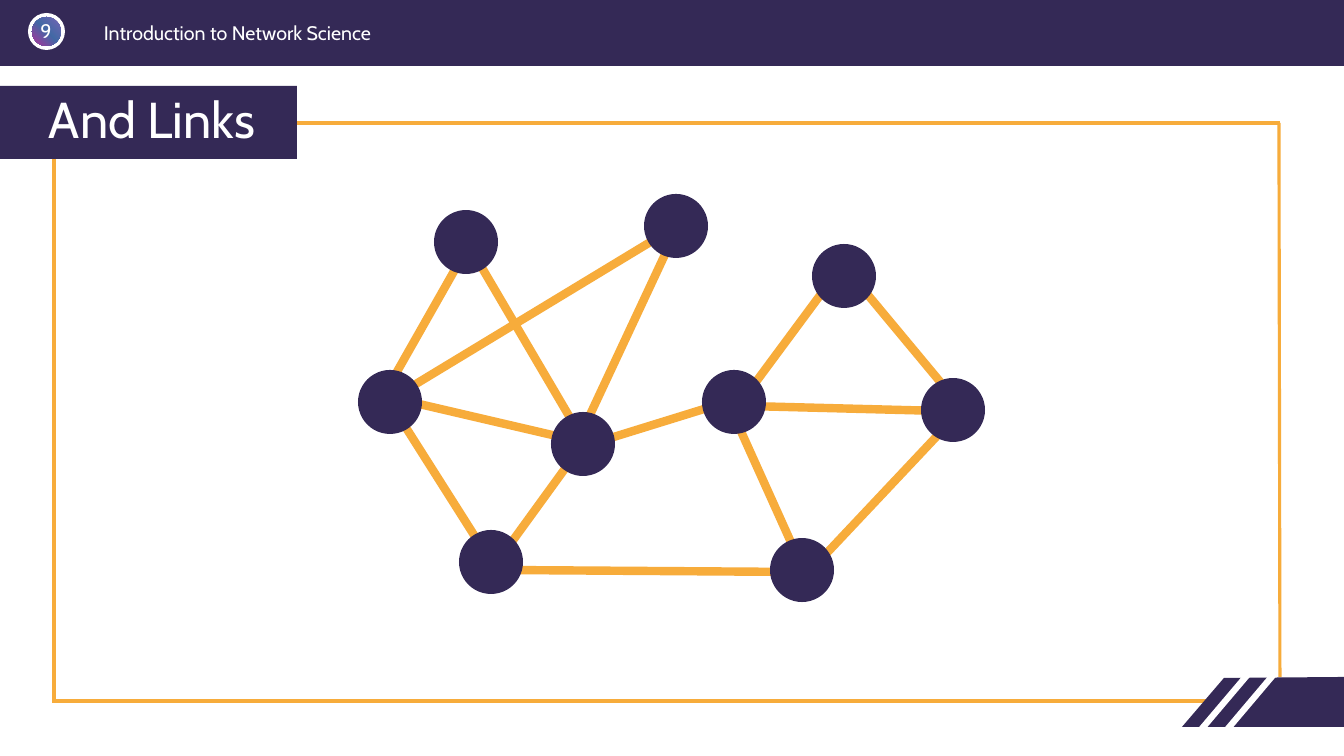
from lxml.etree import SubElement
from pptx import Presentation
from pptx.dml.color import RGBColor
from pptx.enum.shapes import MSO_CONNECTOR, MSO_SHAPE
from pptx.enum.text import MSO_ANCHOR, PP_ALIGN
from pptx.oxml import parse_xml
from pptx.oxml.ns import nsdecls, qn
from pptx.util import Pt

COLORS = {"navy": "342956", "orange": "F7AC3B", "white": "FFFFFF"}
BADGE_STOPS = [(0, "7864B5"), (49, "4269A5"), (100, "B2329A")]
BADGE_ANGLE = 135
HEADER = "Introduction to Network Science"
TITLE = "And Links"
NUMBER = "9"
FONT = "Cabin"

FRAME = [
    (1280, 677, 1279, 123),
    (54, 703, 54, 154),
    (53, 701, 1220, 701),
    (54, 123, 1280, 123),
]
CORNER = [(1224, 678), (1344, 677), (1344, 727), (1182, 727)]
SLASHES = [(1194, 738, 1255, 666), (1220, 738, 1275, 673)]
NODE_SIZE = 64
NODES = [
    (466, 242), (676, 226), (583, 444), (734, 402), (491, 562),
    (844, 276), (802, 570), (953, 410), (390, 402),
]
LINKS = [
    (478, 261, 572, 421), (662, 235, 406, 390), (461, 259, 394, 377),
    (391, 404, 488, 557), (498, 561, 572, 459), (402, 400, 565, 438),
    (591, 444, 730, 401), (858, 283, 947, 390), (830, 282, 747, 394),
    (747, 406, 941, 411), (735, 418, 799, 560), (954, 418, 809, 572),
    (505, 570, 799, 572), (676, 231, 582, 432),
]

SCALE = 914400 / 100.8


def px(*values):
    return [round(v * SCALE) for v in values]


def rgb(name):
    return RGBColor.from_string(COLORS[name])


def style(s, color):
    s.shadow.inherit = False
    s.fill.solid()
    s.fill.fore_color.rgb = rgb(color)
    s.line.fill.background()
    return s


def shape(kind, box, color):
    return style(slide.shapes.add_shape(kind, *px(*box)), color)


def line(ends, color, width):
    s = slide.shapes.add_connector(MSO_CONNECTOR.STRAIGHT, *px(*ends))
    s.line.color.rgb = rgb(color)
    s.line.width = Pt(width)
    SubElement(s._element.spPr, qn("a:effectLst"))


def write(s, text, size, align, frame):
    tf = s.text_frame
    for key, value in frame.items():
        setattr(tf, key, value)
    p = tf.paragraphs[0]
    p.alignment = align
    r = p.add_run()
    r.text = text
    for key, value in {"name": FONT, "size": Pt(size)}.items():
        setattr(r.font, key, value)
    r.font.color.rgb = rgb("white")
    return p


prs = Presentation()
prs.slide_width, prs.slide_height = px(1344, 756)
slide = prs.slides.add_slide(prs.slide_layouts[6])

shape(MSO_SHAPE.RECTANGLE, (0, 0, 1344, 66), "navy")
shape(MSO_SHAPE.OVAL, (28, 13, 37, 37), "white")
badge = shape(MSO_SHAPE.OVAL, (32, 17, 29, 29), "navy")
stops = "".join(
    f'<a:gs pos="{pos * 1000}"><a:srgbClr val="{color}"/></a:gs>'
    for pos, color in BADGE_STOPS
)
gradient = parse_xml(
    f'<a:gradFill {nsdecls("a")}><a:gsLst>{stops}</a:gsLst>'
    f'<a:lin ang="{BADGE_ANGLE * 60000}" scaled="0"/></a:gradFill>'
)
sp = badge._element.spPr
sp.replace(sp.find(qn("a:solidFill")), gradient)

header = slide.shapes.add_textbox(*px(94, 16, 565, 30))
write(header, HEADER, 14, PP_ALIGN.LEFT, {"word_wrap": True})

for ends in FRAME[:3]:
    line(ends, "orange", 2.25)
builder = slide.shapes.build_freeform(*CORNER[0], scale=SCALE)
builder.add_line_segments(CORNER[1:], close=True)
style(builder.convert_to_shape(), "navy")
for ends in SLASHES:
    line(ends, "white", 4.5)
line(FRAME[3], "orange", 2.25)

title = shape(MSO_SHAPE.RECTANGLE, (0, 86, 297, 73), "navy")
p = write(title, TITLE, 36, PP_ALIGN.LEFT, {
    "word_wrap": True,
    "vertical_anchor": MSO_ANCHOR.MIDDLE,
    "margin_left": px(49)[0],
})
p.line_spacing = 0.9

number = slide.shapes.add_textbox(*px(28, 19, 36, 24))
margins = dict.fromkeys(
    ["margin_left", "margin_top", "margin_right", "margin_bottom"], 0
)
write(number, NUMBER, 14, PP_ALIGN.CENTER, {"word_wrap": True, **margins})

for ends in LINKS:
    line(ends, "orange", 6)
for x, y in NODES:
    box = (x - NODE_SIZE / 2, y - NODE_SIZE / 2, NODE_SIZE, NODE_SIZE)
    shape(MSO_SHAPE.OVAL, box, "navy")

prs.save("out.pptx")
